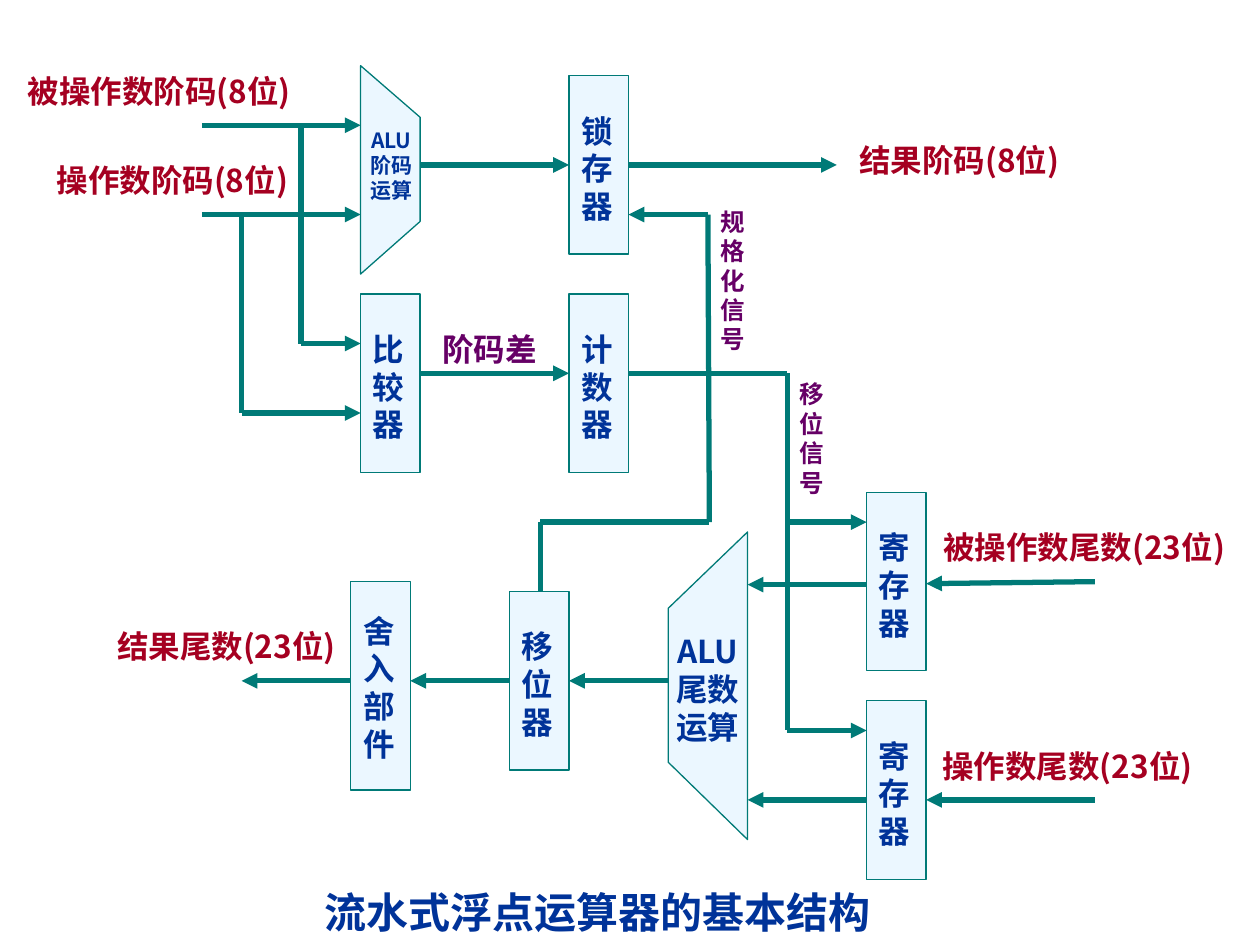
"""Draw the block diagram of a pipelined floating-point unit."""
from dataclasses import dataclass

from lxml.etree import SubElement
from pptx import Presentation
from pptx.dml.color import RGBColor
from pptx.enum.shapes import MSO_CONNECTOR, MSO_SHAPE
from pptx.enum.text import PP_ALIGN
from pptx.oxml.ns import qn
from pptx.util import Inches, Mm, Pt


@dataclass(frozen=True)
class Theme:
    fill: str = "EBF7FF"
    edge: str = "007A77"
    ink: str = "003399"
    port: str = "A50021"
    sign: str = "660066"
    latin: str = "Arial"
    asian: str = "Noto Sans CJK SC"
    title: int = 24
    body: int = 18
    small: int = 14
    tiny: int = 12
    thin: float = 0.75
    thick: float = 3


def write(frame, text, size, color, font, align=PP_ALIGN.LEFT, space=1.0):
    frame.word_wrap = True
    for i, line in enumerate(text.split("\n")):
        para = frame.add_paragraph() if i else frame.paragraphs[0]
        para.alignment = align
        para.line_spacing = space
        run = para.add_run()
        run.text = line
        run.font.size = Pt(size)
        run.font.bold = True
        run.font.color.rgb = RGBColor.from_string(color)
        run.font.name = font
        SubElement(run.font._element, qn("a:ea"), typeface=font)


class Board:
    def __init__(self, slide, theme):
        self.shapes = slide.shapes
        self.theme = theme

    def col(self, n):
        return Mm(0.7 + 2 * n)

    def row(self, n):
        return Mm(1.25 + 2 * n)

    def paint(self, shape):
        look = self.theme
        shape.shadow.inherit = False
        shape.fill.solid()
        shape.fill.fore_color.rgb = RGBColor.from_string(look.fill)
        shape.line.color.rgb = RGBColor.from_string(look.edge)
        shape.line.width = Pt(look.thin)

    def label(self, text, x, y, wide, high, size=None, color=None, font=None, **style):
        look = self.theme
        box = self.shapes.add_textbox(self.col(x), self.row(y), Mm(2 * wide), Mm(2 * high))
        write(box.text_frame, text, size or look.body, color or look.ink,
              font or look.asian, **style)

    def block(self, text, x, y, high=18, drop=3):
        rect = self.shapes.add_shape(MSO_SHAPE.RECTANGLE, self.col(x), self.row(y),
                                     Mm(12), Mm(2 * high))
        self.paint(rect)
        self.label(text, x, y + drop, 6, high - 2 * drop, font=self.theme.latin)

    def wedge(self, *spots):
        first, *rest = [(self.col(x), self.row(y)) for x, y in spots]
        pen = self.shapes.build_freeform(*first, scale=1.0)
        pen.add_line_segments(rest, close=True)
        self.paint(pen.convert_to_shape())

    def wire(self, *spots, arrow=True):
        last = len(spots) - 2
        for i, ((x, y), (u, v)) in enumerate(zip(spots, spots[1:])):
            link = self.shapes.add_connector(MSO_CONNECTOR.STRAIGHT, self.col(x),
                                             self.row(y), self.col(u), self.row(v))
            link.line.color.rgb = RGBColor.from_string(self.theme.edge)
            link.line.width = Pt(self.theme.thick)
            if arrow and i == last:
                SubElement(link.line._get_or_add_ln(), qn("a:tailEnd"), type="triangle")
            SubElement(link._element.spPr, qn("a:effectLst"))


def main():
    deck = Presentation()
    deck.slide_width, deck.slide_height = Inches(10), Inches(7.5)
    look = Theme()
    board = Board(deck.slides.add_slide(deck.slide_layouts[6]), look)

    for spots in (
        [(20, 12), (36, 12)],
        [(20, 21), (36, 21)],
        [(30, 12), (30, 34), (36, 34)],
        [(24, 21), (24, 41), (36, 41)],
        [(42, 16), (57, 16)],
        [(42, 37), (57, 37)],
        [(63, 16), (84, 16)],
        [(63, 37), (79, 37), (79, 73), (87, 73)],
        [(79, 52), (87, 52)],
        [(87, 58.3), (75, 58.3)],
        [(87, 80), (75, 80)],
        [(110, 58), (93, 58.2)],
        [(110, 80), (93, 80)],
        [(67, 68), (57, 68)],
        [(51, 68), (41, 68)],
        [(35, 68), (24, 68)],
        [(54.1, 59), (54.1, 52), (71.15, 52), (71, 21), (63, 21)],
    ):
        board.wire(*spots)

    board.wedge((36, 27), (42, 21.7), (42, 11.2), (36, 6))
    board.wedge((75, 53), (67, 60.7), (67, 76.2), (75, 84))
    for text, x, y in (
        ("锁存器", 57, 7),
        ("比\n较\n器", 36, 29),
        ("计数器", 57, 29),
        ("寄存器", 87, 49),
        ("寄存器", 87, 70),
        ("移位器", 51, 59),
    ):
        board.block(text, x, y)
    board.block("舍入部件", 35, 58, high=21, drop=2.4)

    board.label("ALU\n阶码\n运算", 34.6, 11.6, 9, 9, size=look.tiny, align=PP_ALIGN.CENTER)
    board.label("ALU\n尾数\n运算", 66.5, 62.5, 9, 12.6, align=PP_ALIGN.CENTER)
    for text, x, y, wide, high in (
        ("被操作数阶码(8位)", 1.2, 6, 29, 9),
        ("操作数阶码(8位)", 4.1, 15, 28.5, 5),
        ("结果阶码(8位)", 85, 13, 23, 9),
        ("被操作数尾数(23位)", 93.5, 52, 31.5, 9),
        ("操作数尾数(23位)", 93.4, 74, 31.5, 5),
        ("结果尾数(23位)", 10.2, 62, 25, 9),
    ):
        board.label(text, x, y, wide, high, color=look.port)
    board.label("阶码差", 43, 32, 13, 5, color=look.sign)
    board.label("规格化信号", 71, 19.6, 6, 16, size=look.small, color=look.sign)
    board.label("移\n位\n信号", 79, 37, 6, 13, size=look.small, color=look.sign)
    board.label("流水式浮点运算器的基本结构", 31.1, 88.7, 59, 6, size=look.title, space=0.9)

    deck.save("out.pptx")


if __name__ == "__main__":
    main()
